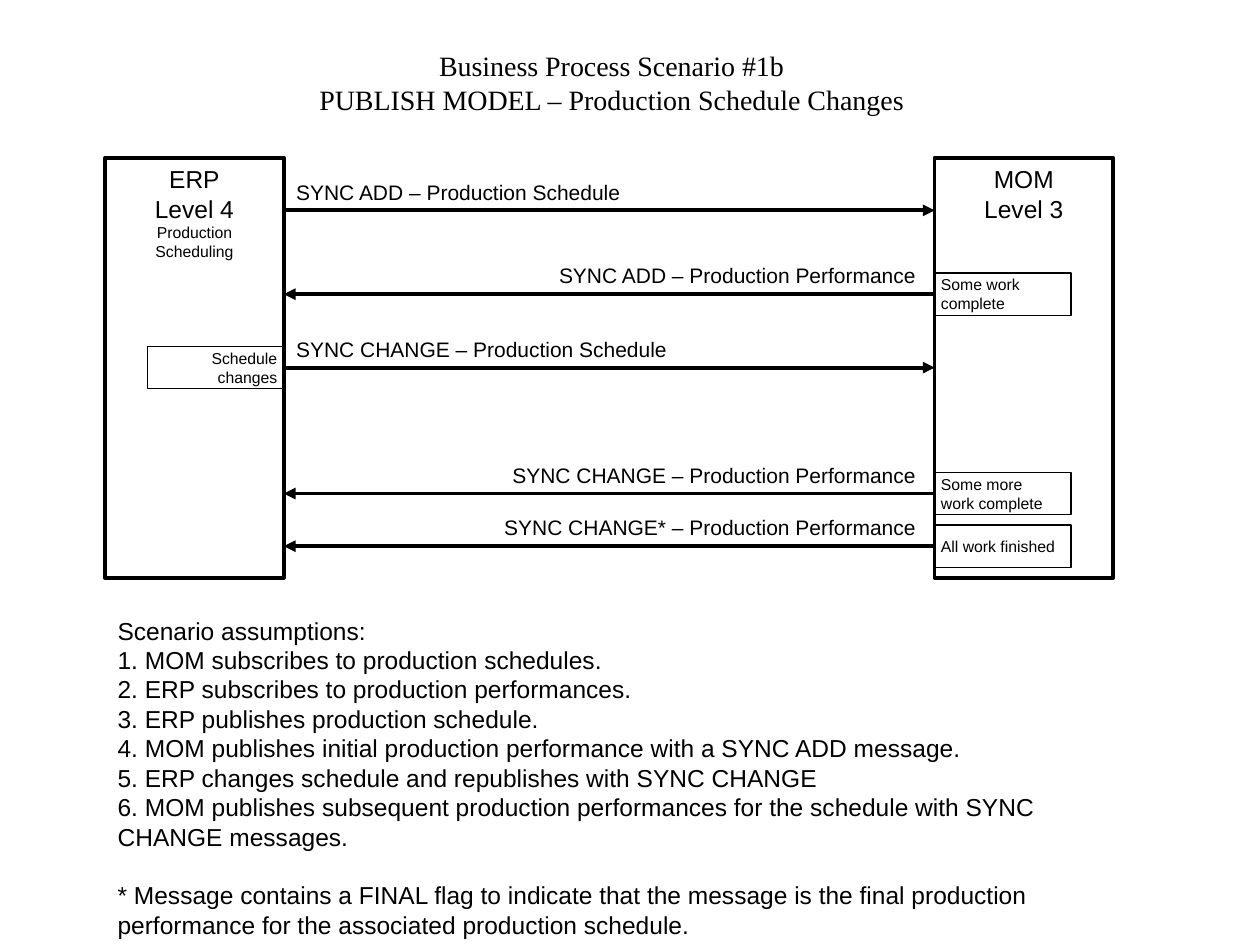
from lxml.etree import SubElement
from pptx import Presentation
from pptx.dml.color import RGBColor
from pptx.enum.shapes import MSO_CONNECTOR, MSO_SHAPE
from pptx.enum.text import MSO_ANCHOR, MSO_AUTO_SIZE, PP_ALIGN
from pptx.oxml.ns import qn
from pptx.util import Cm, Pt

HUES = {"ink": "000000", "paper": "FFFFFF"}
BOLD, THIN = Pt(2.25), Pt(0.75)
LEFT, MID, RIGHT = PP_ALIGN.LEFT, PP_ALIGN.CENTER, PP_ALIGN.RIGHT
PAD = {"margin_left": Cm(0.25), "margin_right": Cm(0.25),
       "margin_top": Cm(0.13), "margin_bottom": Cm(0.13),
       "auto_size": MSO_AUTO_SIZE.NONE, "word_wrap": True,
       "vertical_anchor": MSO_ANCHOR.TOP}
TIGHT = {**PAD, "margin_left": Cm(0.13), "margin_right": Cm(0.13),
         "word_wrap": False, "vertical_anchor": MSO_ANCHOR.MIDDLE}
COL, NOTE = 3.6, (2.75, 0.85)

TITLE = ["Business Process Scenario #1b",
         "PUBLISH MODEL – Production Schedule Changes"]
ERP = [("ERP", 14), ("Level 4", 14), ("Production Scheduling", 9)]
MOM = [("MOM", 14), ("Level 3", 14)]
FLOWS = [
    (1.06, True, "SYNC ADD – Production Schedule", 7.06, []),
    (2.75, False, "SYNC ADD – Production Performance", 7.72,
     ["Some work", "complete"]),
    (4.23, True, "SYNC CHANGE – Production Schedule", 7.98,
     ["Schedule", "changes"]),
    (6.77, False, "SYNC CHANGE – Production Performance", 8.64,
     ["Some more", "work complete"]),
    (7.83, False, "SYNC CHANGE* – Production Performance", 8.81,
     ["All work finished"]),
]
RULES = [
    "Scenario assumptions:",
    "1. MOM subscribes to production schedules.",
    "2. ERP subscribes to production performances.",
    "3. ERP publishes production schedule.",
    "4. MOM publishes initial production performance with a SYNC ADD message.",
    "5. ERP changes schedule and republishes with SYNC CHANGE",
    "6. MOM publishes subsequent production performances for the schedule "
    "with SYNC CHANGE messages.",
    "* Message contains a FINAL flag to indicate that the message is the "
    "final production performance for the associated production schedule.",
]


def tint(name):
    """Return a named colour."""
    return RGBColor.from_string(HUES[name])


def apply(item, form):
    """Set each format value on an object."""
    for key, value in form.items():
        setattr(item, key, value)


def write(shape, lines, align, form, face="Arial"):
    """Fill a shape with (text, size) lines."""
    frame = shape.text_frame
    apply(frame, form)
    for i, (text, size) in enumerate(lines):
        para = frame.add_paragraph() if i else frame.paragraphs[0]
        apply(para, {"alignment": align, "space_before": Pt(0)})
        run = para.add_run()
        run.text = text
        apply(run.font, {"name": face, "size": Pt(size)})
        run.font.color.rgb = tint("ink")


def place(shape, box):
    """Move a shape to a box given in centimetres."""
    apply(shape, dict(zip(("left", "top", "width", "height"), map(Cm, box))))


def frame(slide, box, width, fill=None):
    """Add an outlined rectangle."""
    rect = slide.shapes.add_shape(MSO_SHAPE.RECTANGLE, *map(Cm, box))
    rect.shadow.inherit = False
    if fill:
        rect.fill.solid()
        rect.fill.fore_color.rgb = tint(fill)
    else:
        rect.fill.background()
    rect.line.color.rgb = tint("ink")
    rect.line.width = width
    return rect


def arrow(slide, x, y, end, right):
    """Add a level arrow between two columns."""
    line = slide.shapes.add_connector(
        MSO_CONNECTOR.STRAIGHT, Cm(x), Cm(y), Cm(end), Cm(y))
    line.line.color.rgb = tint("ink")
    line.line.width = BOLD
    tip = "a:tailEnd" if right else "a:headEnd"
    SubElement(line.line._get_or_add_ln(), qn(tip), type="triangle")
    SubElement(line._element.spPr, qn("a:effectLst"))


def flow(slide, box, y, right, text, width, note):
    """Draw one message with its label and the event behind it."""
    x, top, wide, _ = box
    start, end, y = x + COL, x + wide - COL, top + y
    arrow(slide, start, y, end, right)
    side = LEFT if right else RIGHT
    spot = start if right else end - 0.12 - width
    label = slide.shapes.add_textbox(*map(Cm, (spot, y - 0.76, width, 0.76)))
    write(label, [(text, 12)], side, {**PAD, "word_wrap": False})
    if note:
        w, h = NOTE
        spot = start - w if right else end
        event = frame(slide, (spot, y - h / 2, w, h), THIN)
        write(event, [(t, 9) for t in note], RIGHT if right else LEFT, TIGHT)


def chart(slide, box):
    """Draw both systems and the messages between them."""
    x, top, wide, high = box
    for left, lines in ((x, ERP), (x + wide - COL, MOM)):
        bar = frame(slide, (left, top, COL, high), BOLD, "paper")
        write(bar, lines, MID, PAD)
    for row in FLOWS:
        flow(slide, box, *row)


def head(slide, box):
    """Fill the title."""
    title = slide.shapes.title
    place(title, box)
    write(title, [(t, 16) for t in TITLE], MID, PAD, "Times New Roman")


def body(slide, box):
    """Fill the list of assumptions."""
    text = slide.placeholders[1]
    place(text, box)
    write(text, [(t, 14) for t in RULES], LEFT, PAD)
    paras = text.text_frame.paragraphs
    for para in paras:
        props = para._p.get_or_add_pPr()
        props.set("marL", "0")
        props.set("indent", "0")
        SubElement(props, qn("a:buNone"))
    paras[-1].space_before = Pt(16.8)


def main():
    """Build and save the slide."""
    deck = Presentation()
    apply(deck, {"slide_width": Cm(25.4), "slide_height": Cm(19.05)})
    slide = deck.slides.add_slide(deck.slide_layouts[1])
    head(slide, (6.17, 0.85, 12.32, 1.63))
    chart(slide, (2.12, 3.18, 20.32, 8.47))
    body(slide, (2.12, 12.28, 20.32, 3.81))
    deck.save("out.pptx")


main()
